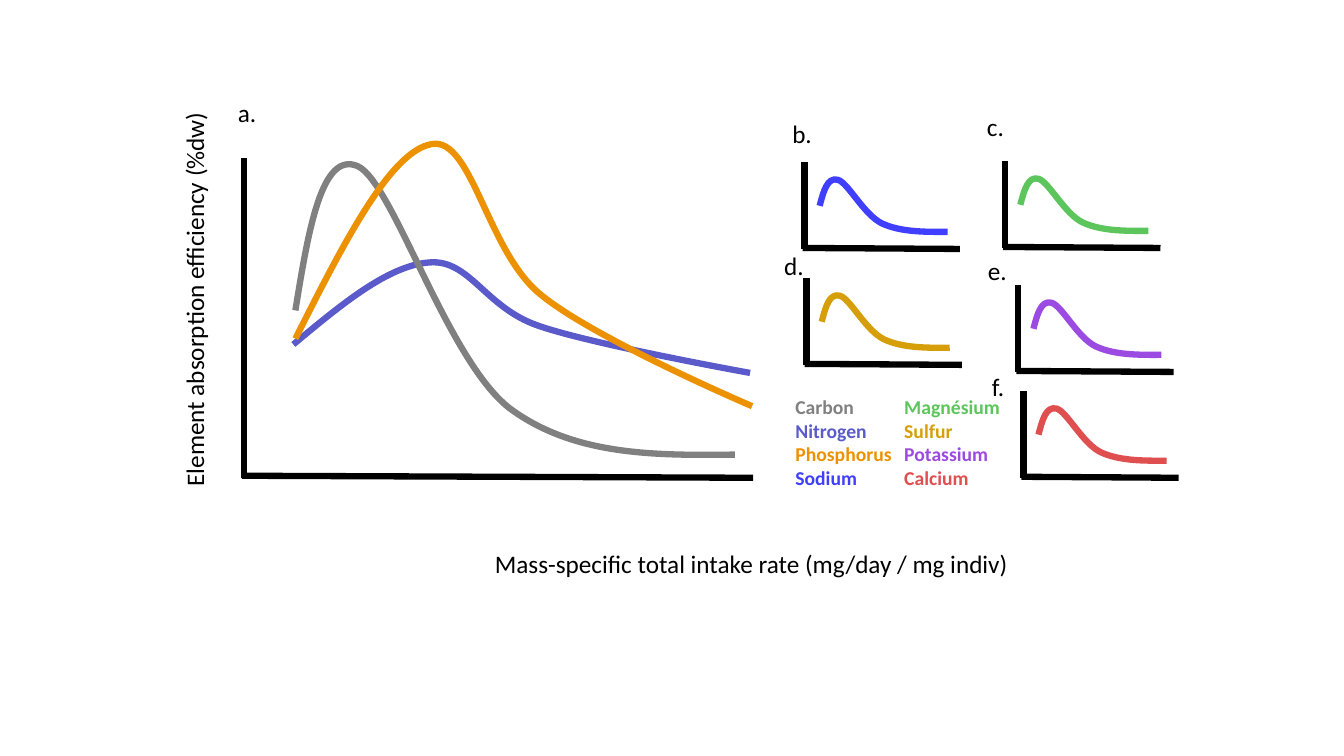
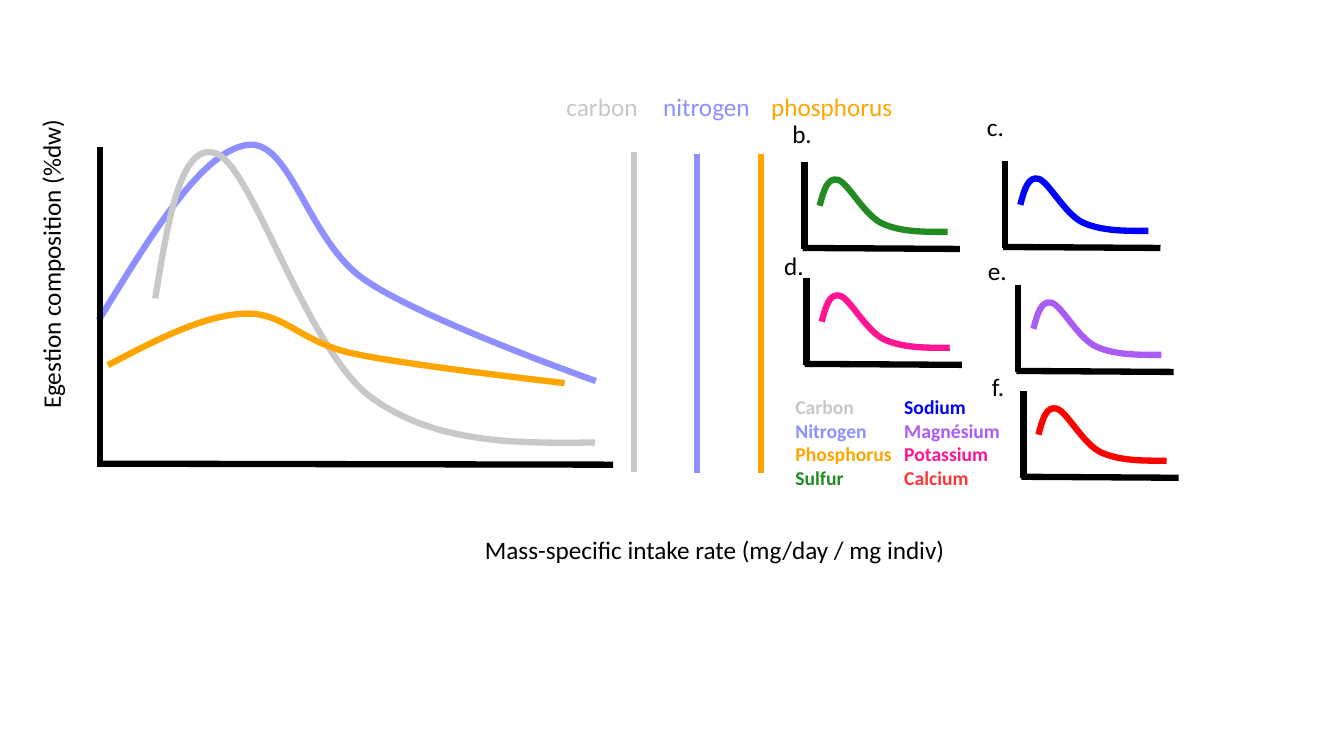
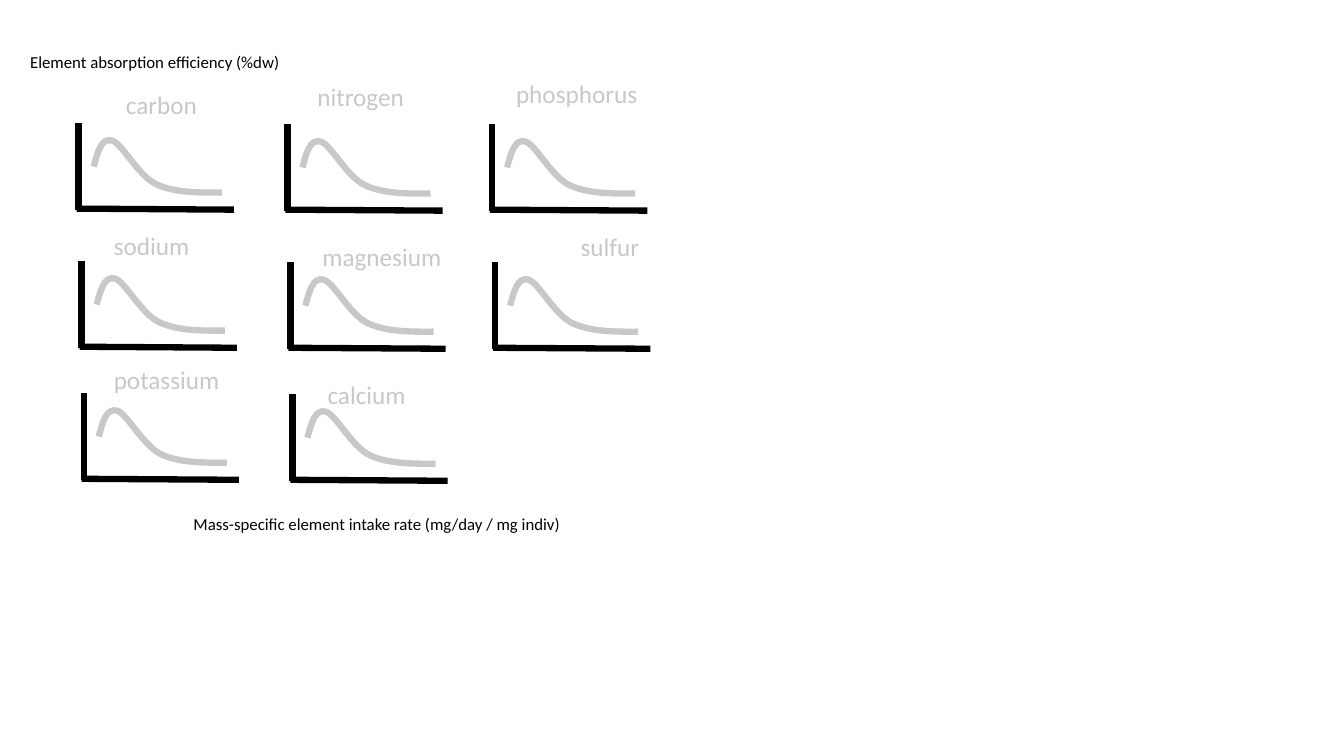
from dataclasses import dataclass
from typing import NamedTuple

from lxml import etree
from pptx import Presentation
from pptx.dml.color import RGBColor
from pptx.enum.shapes import MSO_CONNECTOR
from pptx.enum.text import MSO_AUTO_SIZE
from pptx.oxml.ns import qn
from pptx.slide import Slide
from pptx.util import Emu, Pt

STRAIGHT = MSO_CONNECTOR.STRAIGHT
GROW = MSO_AUTO_SIZE.SHAPE_TO_FIT_TEXT
SCALE = 9144  # EMU in one px, 100 px to the inch


@dataclass(frozen=True)
class Theme:
    font: str = "Calibri"
    body: int = 18
    key: int = 14
    small: int = 12
    line: float = 4.5
    ink: str = "000000"
    pale: str = "C8C8C8"


THEME = Theme()


class Box(NamedTuple):
    left: int
    top: int
    width: int
    height: int


class Form(NamedTuple):
    """A Bezier outline, drawn in a box of the given size."""
    width: int
    height: int
    start: tuple[int, int]
    bends: list[list[tuple[int, int]]]


class Curve(NamedTuple):
    form: Form
    box: Box
    color: str


class Line(NamedTuple):
    x1: int
    y1: int
    x2: int
    y2: int
    color: str = THEME.ink


class Label(NamedTuple):
    text: str
    box: Box
    color: str = THEME.ink
    size: int = THEME.body
    turn: int = 0
    wrap: bool = False


class Key(NamedTuple):
    box: Box
    rows: list[tuple[str, str]]


HUMP = Form(453, 261, (0, 194), [
    [(47, 101), (94, 8), (135, 1)],
    [(175, -7), (190, 107), (243, 150)],
    [(296, 194), (453, 261), (453, 261)],
])
DECAY = Form(435, 288, (0, 145), [
    [(13, 65), (26, -14), (62, 2)],
    [(97, 19), (150, 194), (212, 242)],
    [(275, 289), (355, 289), (435, 288)],
])


def px(value: float) -> Emu:
    return Emu(round(value * SCALE))


# Drawing
def draw_line(slide: Slide, line: Line) -> None:
    ends = [px(v) for v in line[:4]]
    shape = slide.shapes.add_connector(STRAIGHT, *ends)
    shape.line.color.rgb = RGBColor.from_string(line.color)
    shape.line.width = Pt(THEME.line)
    etree.SubElement(shape.element.spPr, qn("a:effectLst"))


def draw_curve(slide: Slide, curve: Curve) -> None:
    form, box = curve.form, curve.box
    pen = slide.shapes.build_freeform(px(box.left), px(box.top))
    far = px(box.left + box.width), px(box.top + box.height)
    pen.add_line_segments([far], close=False)
    shape = pen.convert_to_shape()
    shape.shadow.inherit = False
    shape.fill.background()
    shape.line.color.rgb = RGBColor.from_string(curve.color)
    shape.line.width = Pt(THEME.line)

    # Bezier steps take the place of the diagonal
    track = shape.element.find(".//" + qn("a:path"))
    for step in list(track):
        track.remove(step)
    steps = [("a:moveTo", [form.start])]
    steps += [("a:cubicBezTo", bend) for bend in form.bends]
    for tag, points in steps:
        step = etree.SubElement(track, qn(tag))
        for x, y in points:
            point = etree.SubElement(step, qn("a:pt"))
            point.set("x", str(px(x * box.width / form.width)))
            point.set("y", str(px(y * box.height / form.height)))


def draw_text(slide: Slide, box: Box, rows: list[tuple[str, str]], size: int,
              bold: bool = False, turn: int = 0, wrap: bool = False) -> None:
    shape = slide.shapes.add_textbox(*[px(v) for v in box])
    shape.rotation = turn
    frame = shape.text_frame
    frame.text = "\n".join(text for text, _ in rows)
    for name, value in {"word_wrap": wrap, "auto_size": GROW}.items():
        setattr(frame, name, value)
    style = {"name": THEME.font, "size": Pt(size), "bold": bold}
    for para, (_, color) in zip(frame.paragraphs, rows):
        font = para.runs[0].font
        for name, value in style.items():
            setattr(font, name, value)
        font.color.rgb = RGBColor.from_string(color)


def draw_label(slide: Slide, label: Label) -> None:
    draw_text(slide, label.box, [(label.text, label.color)], label.size,
              turn=label.turn, wrap=label.wrap)


def draw_panel(slide: Slide, x: int, y: int, color: str) -> None:
    """A small plot; x and y give the top of its upright axis."""
    draw_line(slide, Line(x, y, x, y + 86))
    draw_line(slide, Line(x + 154, y + 86, x - 2, y + 85))
    draw_curve(slide, Curve(DECAY, Box(x + 15, y + 17, 127, 52), color))


# Slides 1 and 2: a main plot, five panels and a colour key
SPOTS = [(798, 161), (997, 160), (800, 276), (1010, 283), (1015, 388)]
MARKS = [
    Label("b.", Box(776, 112, 40, 40)),
    Label("c.", Box(969, 106, 37, 40)),
    Label("d.", Box(768, 243, 40, 40)),
    Label("e.", Box(970, 248, 39, 40)),
    Label("f.", Box(974, 363, 33, 40)),
]
KEYS = [Box(779, 387, 117, 104), Box(887, 387, 116, 104)]


@dataclass(frozen=True)
class Figure:
    curves: list[Curve]
    lines: list[Line]
    labels: list[Label]
    tints: list[str]
    keys: list[Key]


ABSORB = Figure(
    curves=[
        Curve(HUMP, Box(291, 260, 453, 110), "5A5ACA"),
        Curve(DECAY, Box(293, 163, 436, 288), "808080"),
        Curve(HUMP, Box(293, 142, 453, 261), "EC9200"),
    ],
    lines=[Line(242, 157, 242, 474), Line(747, 474, 240, 472)],
    labels=[
        Label("Element absorption efficiency (%dw)",
              Box(-7, 273, 399, 40), turn=270),
        Label("Mass-specific total intake rate (mg/day / mg indiv)",
              Box(481, 539, 533, 40)),
        Label("a.", Box(226, 92, 39, 40)),
    ],
    tints=["403EFF", "5CC55C", "D69F09", "9B4BE1", "DF4F4F"],
    keys=[
        Key(KEYS[0], [("Carbon", "808080"), ("Nitrogen", "5A5ACA"),
                      ("Phosphorus", "EC9200"), ("Sodium", "403EFF")]),
        Key(KEYS[1], [("Magnésium", "5CC55C"), ("Sulfur", "D69F09"),
                      ("Potassium", "9B4BE1"), ("Calcium", "DF4F4F")]),
    ],
)

LILAC, AMBER = "8F8FFF", "FFA500"
EGEST = Figure(
    curves=[
        Curve(HUMP, Box(98, 143, 493, 235), LILAC),
        Curve(DECAY, Box(154, 151, 436, 288), THEME.pale),
        Curve(HUMP, Box(107, 311, 453, 69), AMBER),
    ],
    lines=[
        Line(608, 461, 102, 460),
        Line(99, 146, 99, 463),
        Line(629, 151, 629, 468, THEME.pale),
        Line(691, 153, 691, 469, LILAC),
        Line(755, 153, 755, 469, AMBER),
    ],
    labels=[
        Label("Egestion composition (%dw)",
              Box(-105, 240, 311, 40), turn=270),
        Label("Mass-specific intake rate (mg/day / mg indiv)",
              Box(471, 525, 482, 40)),
        Label("carbon", Box(552, 86, 92, 40), THEME.pale),
        Label("nitrogen", Box(648, 86, 107, 40), LILAC),
        Label("phosphorus", Box(755, 86, 142, 40), AMBER),
    ],
    tints=["228B22", "0000FF", "FF1493", "AB5CF2", "FF0000"],
    keys=[
        Key(KEYS[0], [("Carbon", THEME.pale), ("Nitrogen", LILAC),
                      ("Phosphorus", AMBER), ("Sulfur", "228B22")]),
        Key(KEYS[1], [("Sodium", "0000FF"), ("Magnésium", "AB5CF2"),
                      ("Potassium", "FF1493"), ("Calcium", "FF3636")]),
    ],
)


def draw_figure(slide: Slide, fig: Figure) -> None:
    for curve in fig.curves:
        draw_curve(slide, curve)
    for line in fig.lines:
        draw_line(slide, line)
    for (x, y), tint in zip(SPOTS, fig.tints):
        draw_panel(slide, x, y, tint)
    for key in fig.keys:
        draw_text(slide, key.box, key.rows, THEME.key, bold=True)
    for label in fig.labels + MARKS:
        draw_label(slide, label)


# Slide 3: a grid of panels, each row set slightly to the right
COLS = [78, 285, 488]
ROWS = [122, 259, 390]
SHIFT = [0, 3, 5]
NAMES = [
    ("carbon", Box(115, 84, 92, 40)),
    ("nitrogen", Box(305, 76, 129, 40)),
    ("phosphorus", Box(502, 73, 156, 40)),
    ("sodium", Box(103, 224, 129, 40)),
    ("magnesium", Box(310, 234, 156, 40)),
    ("sulfur", Box(566, 225, 105, 40)),
    ("potassium", Box(103, 357, 129, 40)),
    ("calcium", Box(315, 371, 105, 40)),
]
TITLES = [
    ("Element absorption efficiency (%dw)", Box(20, 46, 399, 30)),
    ("Mass-specific element intake rate (mg/day / mg indiv)",
     Box(182, 505, 409, 30)),
]


def draw_grid(slide: Slide) -> None:
    for i, (name, box) in enumerate(NAMES):
        row, col = divmod(i, len(COLS))
        y = ROWS[row] + min(col, 1)
        draw_panel(slide, COLS[col] + SHIFT[row], y, THEME.pale)
        draw_label(slide, Label(name, box, THEME.pale, wrap=True))
    for text, box in TITLES:
        draw_label(slide, Label(text, box, size=THEME.small, wrap=True))


def main() -> None:
    deck = Presentation()
    deck.slide_width, deck.slide_height = px(1333), px(750)
    blank = deck.slide_layouts[6]
    for fig in (ABSORB, EGEST):
        draw_figure(deck.slides.add_slide(blank), fig)
    draw_grid(deck.slides.add_slide(blank))
    deck.save("out.pptx")


if __name__ == "__main__":
    main()
